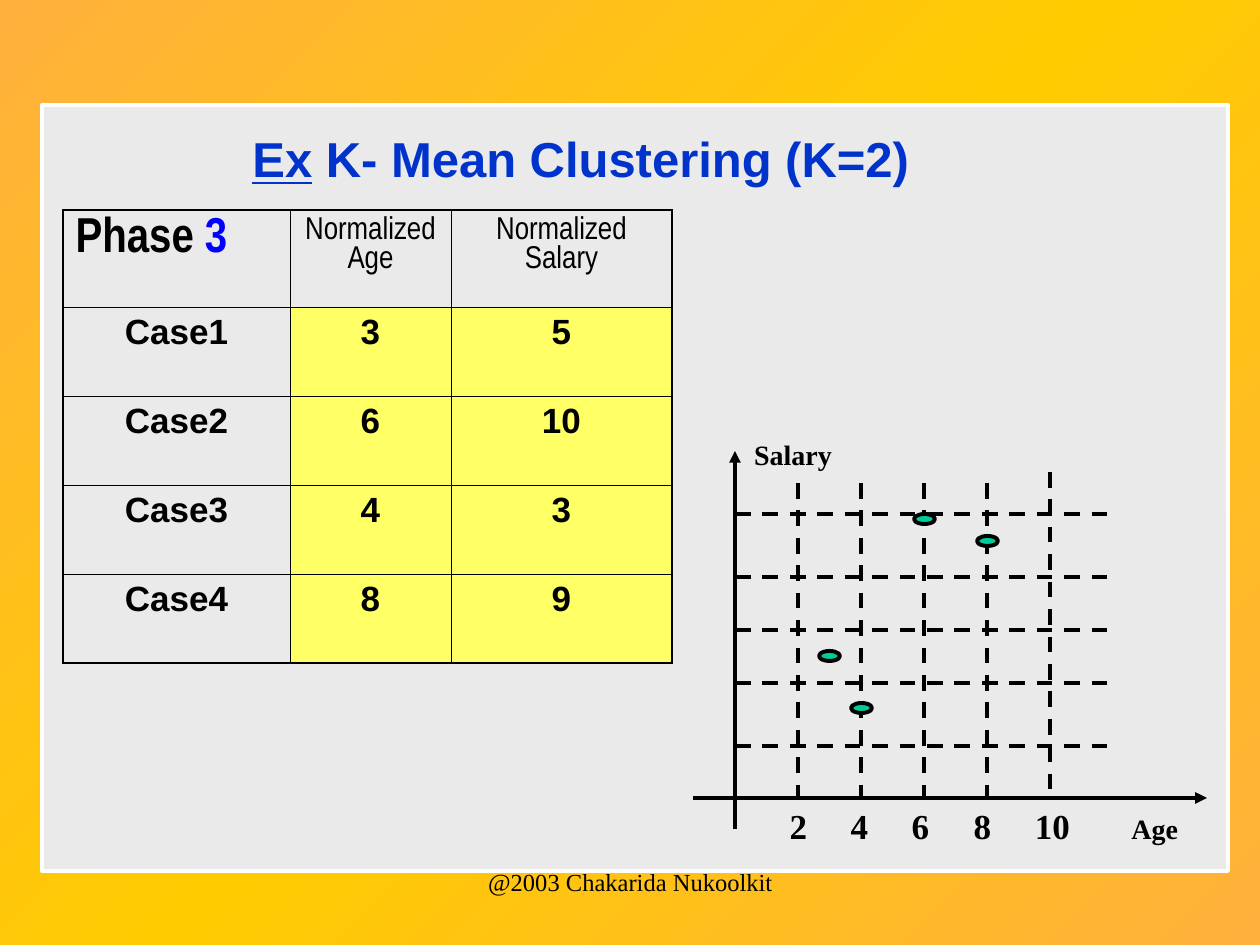
import copy
import pptx
import pptx.util
import pptx.dml.color
import pptx.enum.dml
import pptx.enum.shapes
import pptx.enum.text
import pptx.oxml.ns
from lxml import etree

SCALE = 914400 / 126
BLACK = "000000"
ROMAN = "Times New Roman"
ALIGN = pptx.enum.text.PP_ALIGN
SHAPE = pptx.enum.shapes.MSO_SHAPE
qn = pptx.oxml.ns.qn


def px(size):
    return pptx.util.Emu(round(size * SCALE))


def rgb(code):
    return pptx.dml.color.RGBColor.from_string(code)


def paint(fill, code):
    fill.solid()
    fill.fore_color.rgb = rgb(code)


def style(run, size, face, color=BLACK, bold=True):
    run.font.size = pptx.util.Pt(size)
    run.font.name = face
    run.font.bold = bold
    run.font.color.rgb = rgb(color)


def add_back(slide):
    fill = slide.background.fill
    fill.gradient()
    fill.gradient_angle = 315
    stops = next(slide.element.iter(qn("a:gsLst")))
    stops.insert(1, copy.deepcopy(stops[0]))
    for stop, code, place in zip(fill.gradient_stops, ("FFB03D", "FFCC00", "FFB03D"), (0, 0.5, 1)):
        stop.color.rgb = rgb(code)
        stop.position = place


def add_form(slide, kind, box, fill, line):
    shape = slide.shapes.add_shape(kind, *map(px, box))
    shape.shadow.inherit = False
    paint(shape.fill, fill)
    shape.line.color.rgb = rgb(line)
    shape.line.width = pptx.util.Pt(2.25)


def add_line(slide, start, end, dash=False, arrow=False):
    line = slide.shapes.add_connector(
        pptx.enum.shapes.MSO_CONNECTOR.STRAIGHT, *map(px, start + end))
    line.line.color.rgb = rgb(BLACK)
    line.line.width = pptx.util.Pt(2.25)
    if dash:
        line.line.dash_style = pptx.enum.dml.MSO_LINE.DASH
    if arrow:
        etree.SubElement(line.line._get_or_add_ln(), qn("a:tailEnd"), type="triangle")
    etree.SubElement(line.element.spPr, qn("a:effectLst"))


def add_text(slide, box, parts, align=ALIGN.CENTER, tabs=()):
    frame = slide.shapes.add_textbox(*map(px, box)).text_frame
    frame.word_wrap = True
    para = frame.paragraphs[0]
    para.alignment = align
    if tabs:
        group = etree.SubElement(para._p.get_or_add_pPr(), qn("a:tabLst"))
        for place, side in tabs:
            etree.SubElement(group, qn("a:tab"), pos=str(px(place)), algn=side)
    runs = []
    for text, *look in parts:
        run = para.add_run()
        run.text = text
        style(run, *look)
        runs.append(run)
    return frame, runs


def add_title(slide):
    look = (28, "Arial", "0033CC")
    frame, runs = add_text(slide, (73, 116, 1029, 84),
                           [("Ex", *look), (" K- Mean Clustering (K=2) ", *look)])
    frame.vertical_anchor = pptx.enum.text.MSO_ANCHOR.MIDDLE
    runs[0].font.underline = True


def edge_cell(cell, sides):
    props = cell._tc.get_or_add_tcPr()
    for spot, (side, outer) in enumerate(sides):
        width = pptx.util.Pt(1.08 if outer else 0.45)
        line = etree.Element(qn("a:" + side), w=str(width))
        fill = etree.SubElement(line, qn("a:solidFill"))
        etree.SubElement(fill, qn("a:srgbClr"), val=BLACK)
        props.insert(spot, line)


def add_cases(slide):
    rows = [("Phase ", "Normalized Age", "Normalized Salary"),
            ("Case1", "3", "5"), ("Case2", "6", "10"),
            ("Case3", "4", "3"), ("Case4", "8", "9")]
    table = slide.shapes.add_table(5, 3, *map(px, (63, 210, 609, 453))).table
    table.first_row = table.horz_banding = False
    for col, width in zip(table.columns, (227, 161, 221)):
        col.width = px(width)
    for row, height in zip(table.rows, (97, 89, 89, 89, 89)):
        row.height = px(height)
    for r, texts in enumerate(rows):
        for c, text in enumerate(texts):
            cell = table.cell(r, c)
            if r and c:
                paint(cell.fill, "FFFF66")
            else:
                cell.fill.background()
            edge_cell(cell, (("lnL", c == 0), ("lnR", c == 2), ("lnT", r == 0), ("lnB", r == 4)))
            para = cell.text_frame.paragraphs[0]
            para.text = text
            para.alignment = ALIGN.CENTER if r or c else ALIGN.LEFT
            if r:
                style(para.runs[0], 20, "Arial")
            elif c:
                style(para.runs[0], 18, "Arial Narrow", bold=False)
            else:
                style(para.runs[0], 28, "Arial Narrow")
                mark = para.add_run()
                mark.text = "3"
                style(mark, 28, "Arial Narrow", "0000FF")


def add_plot(slide):
    add_line(slide, (735, 829), (735, 451), arrow=True)
    add_line(slide, (693, 798), (1207, 798), arrow=True)
    for x in range(798, 1050, 63):
        add_line(slide, (x, 483), (x, 809), dash=True)
    add_line(slide, (1050, 472), (1050, 798), dash=True)
    for y in (746, 683, 630, 577, 514):
        add_line(slide, (735, y), (1113, y), dash=True)
    for x, y in ((819, 651), (914, 514), (851, 703), (977, 536)):
        add_form(slide, SHAPE.OVAL, (x, y, 21, 10), "00CC99", BLACK)
    tabs = [(place, "ctr") for place in (61, 122, 183, 245, 315)] + [(394, "l")]
    add_text(slide, (725, 798, 483, 55),
             [("\t2\t4\t6\t8\t10\t", 20, ROMAN), ("Age", 16, ROMAN)], ALIGN.LEFT, tabs)
    add_text(slide, (714, 431, 158, 47), [("Salary", 16, ROMAN)])


def main():
    deck = pptx.Presentation()
    deck.slide_width, deck.slide_height = px(1260), px(945)
    slide = deck.slides.add_slide(deck.slide_layouts[6])
    add_back(slide)
    add_form(slide, SHAPE.RECTANGLE, (42, 105, 1186, 766), "EAEAEA", "FFFFFF")
    add_title(slide)
    add_cases(slide)
    add_plot(slide)
    add_text(slide, (431, 861, 399, 63),
             [("@2003 Chakarida Nukoolkit", 14, ROMAN, BLACK, False)])
    deck.save("out.pptx")


if __name__ == "__main__":
    main()
